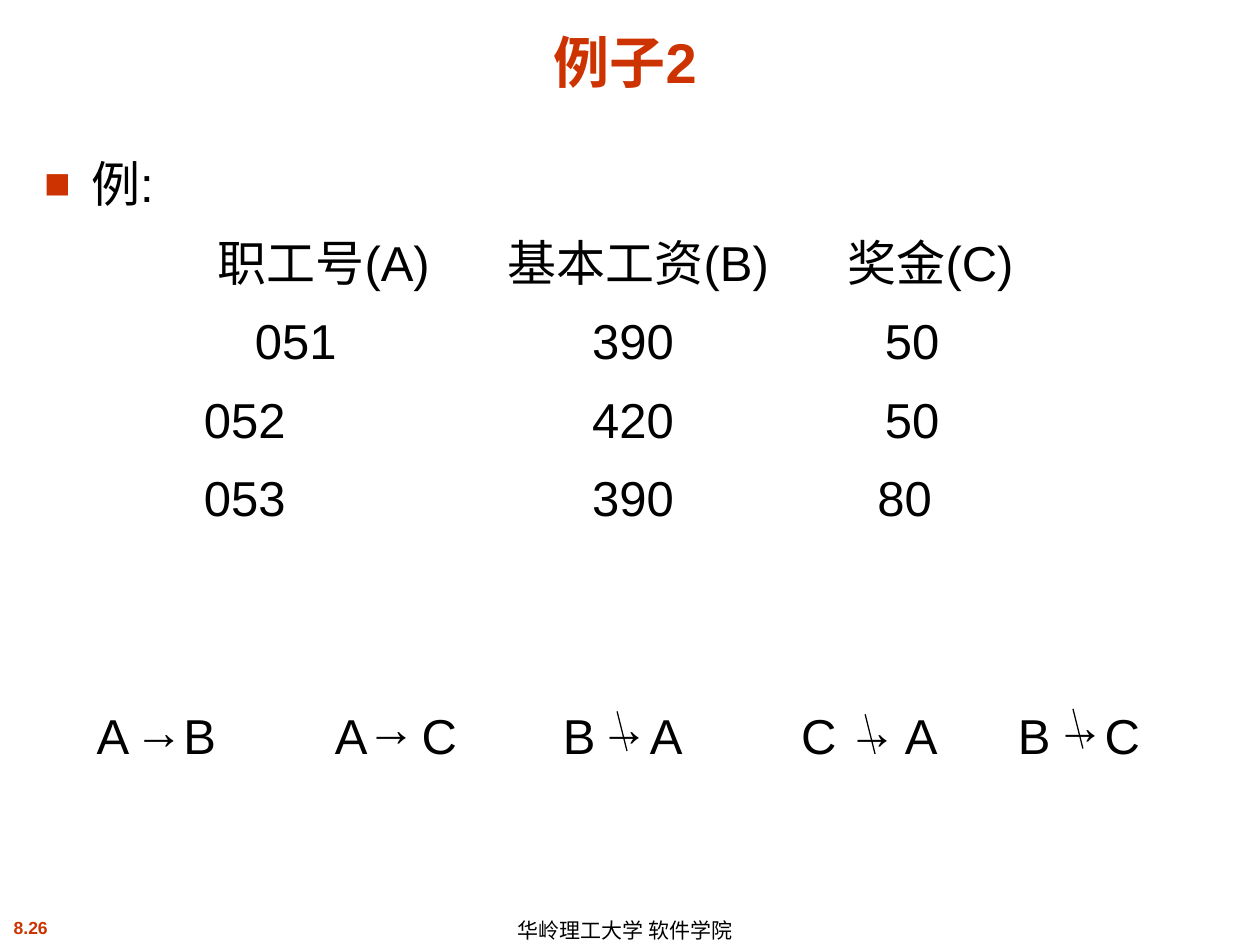
import lxml.etree
import pptx
import pptx.dml.color
import pptx.enum.shapes
import pptx.enum.text
import pptx.oxml.ns
import pptx.util
from dataclasses import dataclass

Cm, Pt = pptx.util.Cm, pptx.util.Pt
ALIGN, ANCHOR = pptx.enum.text.PP_ALIGN, pptx.enum.text.MSO_ANCHOR
qn = pptx.oxml.ns.qn


@dataclass(frozen=True)
class Theme:
    font: str = "Arial"
    accent: str = "CC3300"
    ink: str = "000000"
    title: float = 32
    body: float = 28
    footer: float = 12
    number: float = 10
    row_gap: float = 11.25


class SlideBuilder:
    def __init__(self, s, theme):
        self.s, self.theme = s, theme

    def format(self, p, size, color, bold=False):
        for r in p.runs:
            r.font.name = self.theme.font
            r.font.size = Pt(size)
            r.font.bold = bold
            r.font.color.rgb = pptx.dml.color.RGBColor.from_string(color)

    def text(self, text, x, y, w, h, size, color, bold=False,
             align=ALIGN.LEFT, anchor=ANCHOR.TOP, shapes=None):
        sp = (shapes or self.s.shapes).add_textbox(Cm(x), Cm(y), Cm(w), Cm(h))
        tf = sp.text_frame
        tf.word_wrap = True
        tf.vertical_anchor = anchor
        tf.text = text
        for p in tf.paragraphs:
            p.alignment = align
            self.format(p, size, color, bold)
        return tf

    def tabs(self, p, stops):
        tab_list = lxml.etree.SubElement(p._p.get_or_add_pPr(), qn("a:tabLst"))
        for stop in stops:
            lxml.etree.SubElement(tab_list, qn("a:tab"), pos=str(Cm(stop)), algn="l")

    def bullet(self, p, indent):
        pPr = p._p.get_or_add_pPr()
        pPr.set("marL", str(Cm(indent)))
        pPr.set("indent", str(-Cm(indent)))
        color = lxml.etree.SubElement(pPr, qn("a:buClr"))
        lxml.etree.SubElement(color, qn("a:srgbClr"), val=self.theme.accent)
        lxml.etree.SubElement(pPr, qn("a:buSzPct"), val="90000")
        lxml.etree.SubElement(pPr, qn("a:buFont"), typeface=self.theme.font)
        lxml.etree.SubElement(pPr, qn("a:buChar"), char="■")

    def body(self, heading, rows, x, y, w, h):
        t = self.theme
        lines = [heading] + ["\t" + "\t".join(cells) for cells, _ in rows]
        tf = self.text("\n".join(lines), x, y, w, h, t.body, t.ink)
        for p in tf.paragraphs:
            p.space_before = Pt(t.row_gap)
        self.bullet(tf.paragraphs[0], 0.95)
        for p, (_, stops) in zip(tf.paragraphs[1:], rows):
            self.tabs(p, stops)

    def line(self, x1, y1, x2, y2, shapes):
        c = shapes.add_connector(pptx.enum.shapes.MSO_CONNECTOR.STRAIGHT,
                                 Cm(x1), Cm(y1), Cm(x2), Cm(y2))
        c.line.width = Pt(0.75)
        c.line.color.rgb = pptx.dml.color.RGBColor.from_string(self.theme.ink)
        lxml.etree.SubElement(c._element.spPr, qn("a:effectLst"))

    def dependency(self, left, right, x, gap, arrow_x, arrow_y, holds):
        t = self.theme
        tf = self.text(f"{left}\t{right}", x, 14.1, 3.4, 1.45, t.body, t.ink)
        self.tabs(tf.paragraphs[0], [gap])
        shapes = self.s.shapes if holds else self.s.shapes.add_group_shape().shapes
        self.text("→", arrow_x, arrow_y, 1.5, 1.45, t.body, t.ink, shapes=shapes)
        if not holds:
            self.line(arrow_x + 0.6, arrow_y + 0.4, arrow_x + 0.8, arrow_y + 1.2, shapes)


def main():
    prs = pptx.Presentation()
    prs.slide_width, prs.slide_height = Cm(25.4), Cm(19.05)
    t = Theme()
    b = SlideBuilder(prs.slides.add_slide(prs.slide_layouts[6]), t)

    # Slide number and footer
    b.text("8.26", 0, 18.36, 1.24, 0.69, t.number, t.accent, True, ALIGN.CENTER)
    tf = b.text("华岭理工大学 软件学院", 10.19, 18.42, 5.69, 0.63, t.footer, t.ink,
                anchor=ANCHOR.MIDDLE)
    tf.paragraphs[0].line_spacing = 1.1

    # Title
    b.text("例子2", 0.64, 0.33, 23.93, 1.7, t.title, t.accent, True,
           ALIGN.CENTER, ANCHOR.BOTTOM)

    # Example relation: cells and their tab stops
    b.body("例:", [
        (("职工号(A)", "基本工资(B)", "奖金(C)"), (3.5, 9.35, 16.2)),
        (("051", "390", "50"), (4.25, 11.05, 16.95)),
        (("052", "420", "50"), (3.22, 11.05, 16.95)),
        (("053", "390", "80"), (3.22, 11.05, 16.8)),
    ], 0.64, 2.97, 23.93, 14.6)

    # Functional dependencies, struck through where they do not hold
    for args in [
        ("A", "B", 1.7, 1.75, 2.46, 14.0, True),
        ("A", "C", 6.5, 1.75, 7.14, 13.94, True),
        ("B", "A", 11.1, 1.75, 11.84, 13.94, False),
        ("C", "A", 15.9, 2.09, 16.84, 14.0, False),
        ("B", "C", 20.27, 1.75, 21.03, 13.89, False),
    ]:
        b.dependency(*args)

    prs.save("out.pptx")


if __name__ == "__main__":
    main()
